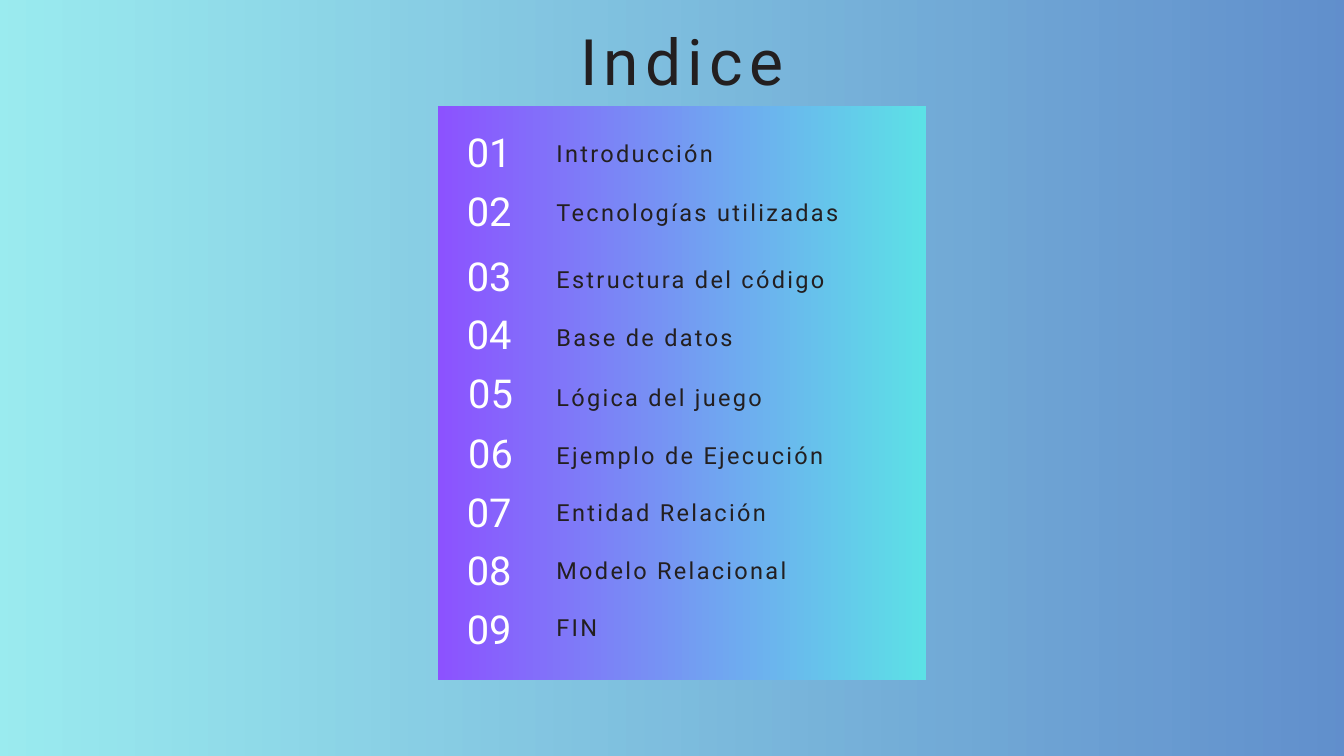
from lxml import etree
from pptx import Presentation
from pptx.dml.color import RGBColor
from pptx.enum.shapes import MSO_SHAPE
from pptx.enum.text import MSO_AUTO_SIZE, PP_ALIGN
from pptx.oxml.ns import qn
from pptx.util import Emu, Pt

RECTANGLE = MSO_SHAPE.RECTANGLE
FIT_SHAPE = MSO_AUTO_SIZE.SHAPE_TO_FIT_TEXT
LEFT, CENTER = PP_ALIGN.LEFT, PP_ALIGN.CENTER
PX = 9144
COLORS = {
    "aqua": "5DE0E6",
    "navy": "004AAD",
    "violet": "8C52FF",
    "cyan": "5CE1E6",
    "ink": "231F20",
    "white": "FFFFFF",
}


def add_gradient(bounds, colors, opacity=100):
    panel = page.shapes.add_shape(RECTANGLE, *[Emu(value * PX) for value in bounds])
    panel.shadow.inherit = False
    panel.line.fill.background()
    panel.fill.gradient()
    panel.fill.gradient_angle = 0
    for stop, color in zip(panel.fill.gradient_stops, colors):
        stop.color.rgb = RGBColor.from_string(COLORS[color])
    if opacity < 100:
        for color_element in panel.element.spPr.iter(qn("a:srgbClr")):
            etree.SubElement(color_element, qn("a:alpha"), val=str(opacity * 1000))


def add_text(bounds, text, size, line_height, color, align, spacing=0):
    box = page.shapes.add_textbox(*[Emu(value * PX) for value in bounds])
    frame = box.text_frame
    frame.margin_left = frame.margin_top = frame.margin_right = frame.margin_bottom = 0
    frame.word_wrap = True
    frame.auto_size = FIT_SHAPE
    frame.text = text
    para = frame.paragraphs[0]
    para.alignment = align
    para.line_spacing = Pt(line_height)
    span = para.runs[0]
    span.font.name = "Roboto"
    span.font.size = Pt(size)
    span.font.color.rgb = RGBColor.from_string(COLORS[color])
    if spacing:
        span.font._element.set("spc", str(spacing))


deck = Presentation()
deck.slide_width, deck.slide_height = Emu(2000 * PX), Emu(1125 * PX)
page = deck.slides.add_slide(deck.slide_layouts[6])

add_gradient((-15, -14, 2030, 1139), ("aqua", "navy"), opacity=61)
add_gradient((652, 158, 726, 854), ("violet", "cyan"))
add_text((740, 15, 549, 128), "Indice", 68.6, 94.7, "ink", CENTER, 670)

entries = [
    ("Introducción", 677, 190, 201, 633),
    ("Tecnologías utilizadas", 677, 277, 288, 665),
    ("Estructura del código", 677, 374, 388, 633),
    ("Base de datos", 677, 461, 475, 665),
    ("Lógica del juego", 679, 548, 563, 665),
    ("Ejemplo de Ejecución", 679, 638, 650, 633),
    ("Entidad Relación", 677, 725, 735, 633),
    ("Modelo Relacional", 677, 812, 821, 633),
    ("FIN", 677, 899, 906, 633),
]
for number, (title, number_left, number_top, title_top, title_width) in enumerate(entries, 1):
    add_text((number_left, number_top, 102, 72), f"{number:02}", 42.7, 51.3, "white", CENTER)
    add_text((828, title_top, title_width, 47), title, 25.2, 34.8, "ink", LEFT, 250)

deck.save("out.pptx")
